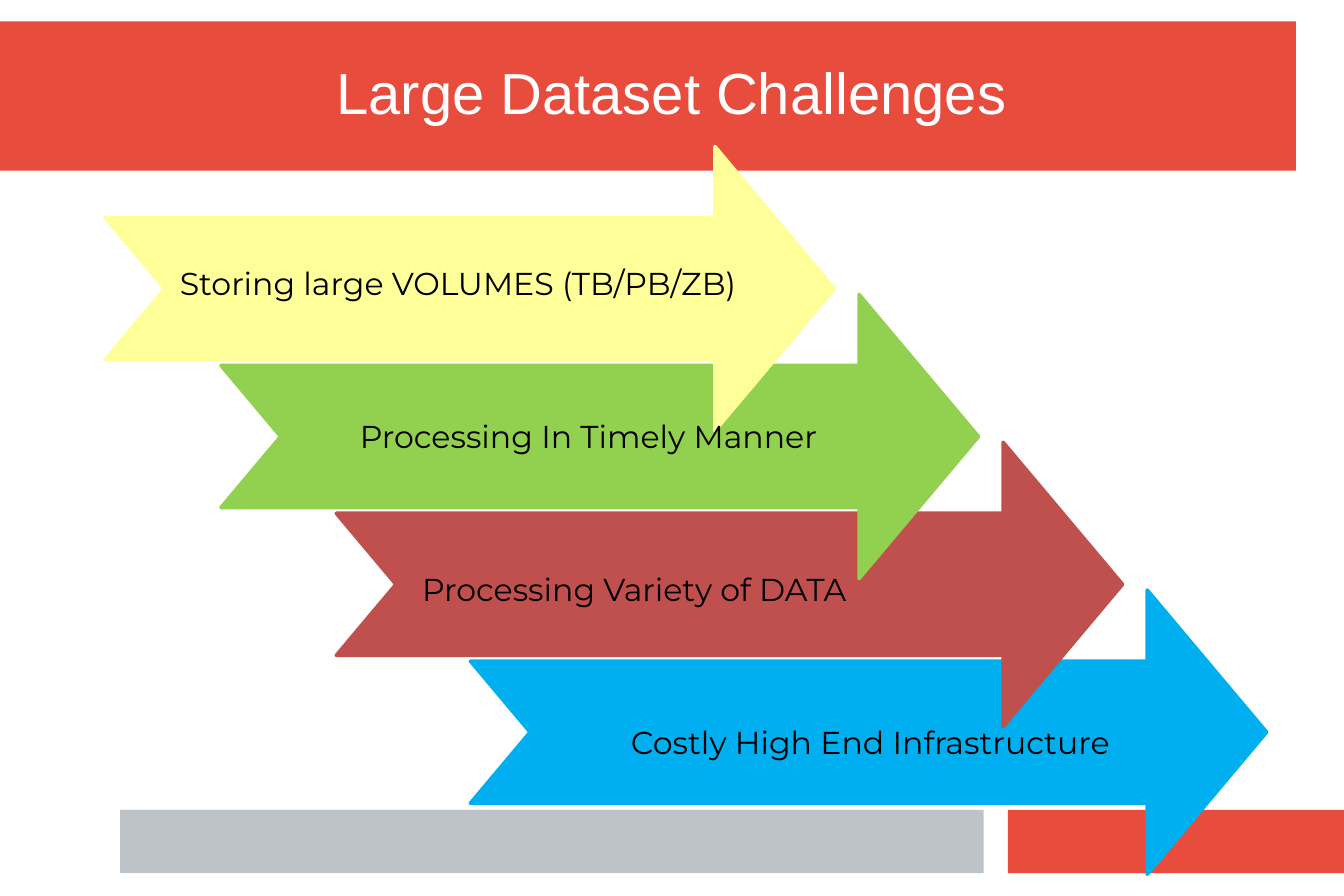
from pptx import Presentation
from pptx.dml.color import RGBColor
from pptx.enum.shapes import MSO_SHAPE
from pptx.enum.text import MSO_ANCHOR, PP_ALIGN
from pptx.util import Inches, Pt

SLIDE_WIDTH, SLIDE_HEIGHT = Inches(10.63), Inches(7.09)
RED, GREY = "E74C3C", "BDC3C7"
BANDS = [
    (0, 2.4, 96.43, 16.64, RED),
    (75, 90.4, 25, 7.05, RED),
    (8.94, 90.4, 64.25, 7.05, GREY),
]
TITLE_BOX = (23.52, 3.81, 52.87, 12.69)
CHALLENGES = [
    ("Storing large VOLUMES (TB/PB/ZB)", "FFFF99", 7.83, 5.55),
    ("Processing In Timely Manner", "92D050", 16.44, 10.35),
    ("Processing Variety of DATA", "C0504D", 25.02, 6.4),
    ("Costly High End Infrastructure", "00AFEF", 35, 11.95),
]
FIRST_TIP, TIP_STEP = 62.09, 10.72
FIRST_TOP, ARROW_STEP, ARROW_HEIGHT = 16.36, 16.5, 31.73
FIRST_LABEL_TOP, LABEL_STEP = 29.48, 17.07
LABEL_WIDTH, LABEL_HEIGHT = 45, 4.3


def color(hex_value):
    """Turn a hex string into a colour."""
    return RGBColor.from_string(hex_value)


def place(box):
    """Turn percentages of the slide into left, top, width and height."""
    left, top, width, height = box
    return (int(SLIDE_WIDTH * left / 100), int(SLIDE_HEIGHT * top / 100),
            int(SLIDE_WIDTH * width / 100), int(SLIDE_HEIGHT * height / 100))


def add_filled_shape(slide, kind, box, fill):
    """Add a flat preset shape without an outline."""
    shape = slide.shapes.add_shape(kind, *place(box))
    shape.shadow.inherit = False
    shape.fill.solid()
    shape.fill.fore_color.rgb = color(fill)
    shape.line.fill.background()
    return shape


def format_text(text_frame, text, font_name, size, font_color, alignment, anchor):
    """Set one line of text without margins."""
    text_frame.text = text
    text_frame.word_wrap = True
    text_frame.vertical_anchor = anchor
    text_frame.margin_left = text_frame.margin_right = 0
    text_frame.margin_top = text_frame.margin_bottom = 0
    paragraph = text_frame.paragraphs[0]
    paragraph.alignment = alignment
    font = paragraph.runs[0].font
    font.name, font.size, font.bold = font_name, Pt(size), False
    font.color.rgb = color(font_color)


def add_header(slide, box):
    """Draw the bands and lay the title over them."""
    for *band_box, fill in BANDS:
        band = add_filled_shape(slide, MSO_SHAPE.RECTANGLE, band_box, fill)
    title = slide.shapes.title
    band.element.addnext(title.element)
    title.left, title.top, title.width, title.height = place(box)
    format_text(title.text_frame, "Large Dataset Challenges", "Arial", 33,
                "FFFFFF", PP_ALIGN.CENTER, MSO_ANCHOR.MIDDLE)


def add_arrow(slide, box, fill):
    """Draw a notched arrow outlined in its own colour."""
    arrow = add_filled_shape(slide, MSO_SHAPE.NOTCHED_RIGHT_ARROW, box, fill)
    arrow.adjustments[0] = 0.5
    arrow.adjustments[1] = 0.42
    arrow.line.color.rgb = color(fill)
    arrow.line.width = Pt(2)


def add_label(slide, box, text):
    """Write the name of a challenge."""
    label = slide.shapes.add_textbox(*place(box))
    format_text(label.text_frame, text, "Montserrat", 18, "000000",
                PP_ALIGN.LEFT, MSO_ANCHOR.TOP)


def add_challenges(slide):
    """Stack the arrows from last to first, then label them."""
    for index, (_, fill, left, _) in reversed(list(enumerate(CHALLENGES))):
        width = FIRST_TIP + index * TIP_STEP - left
        top = FIRST_TOP + index * ARROW_STEP
        add_arrow(slide, (left, top, width, ARROW_HEIGHT), fill)
    for index, (text, _, left, indent) in enumerate(CHALLENGES):
        top = FIRST_LABEL_TOP + index * LABEL_STEP
        add_label(slide, (left + indent, top, LABEL_WIDTH, LABEL_HEIGHT), text)


def main():
    """Build the slide and save it."""
    presentation = Presentation()
    presentation.slide_width = SLIDE_WIDTH
    presentation.slide_height = SLIDE_HEIGHT
    slide = presentation.slides.add_slide(presentation.slide_layouts[5])
    add_header(slide, TITLE_BOX)
    add_challenges(slide)
    presentation.save("out.pptx")


if __name__ == "__main__":
    main()
